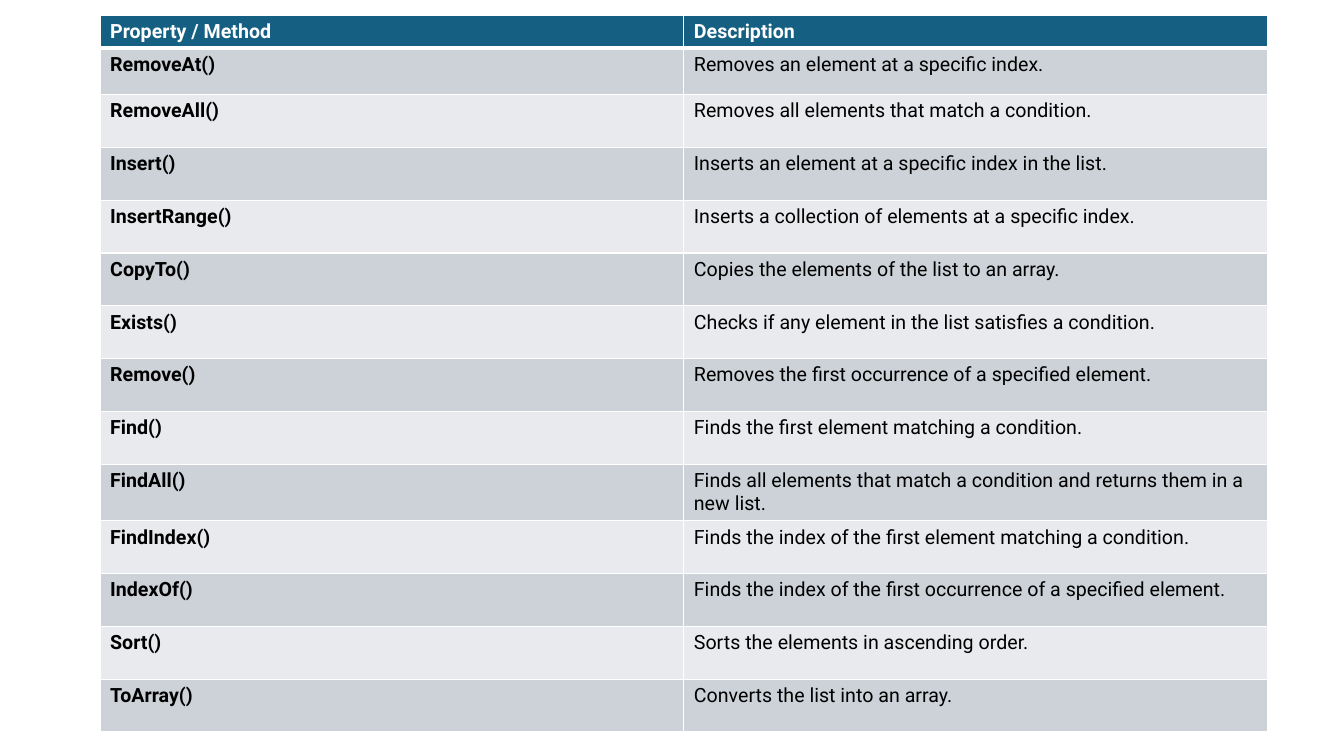
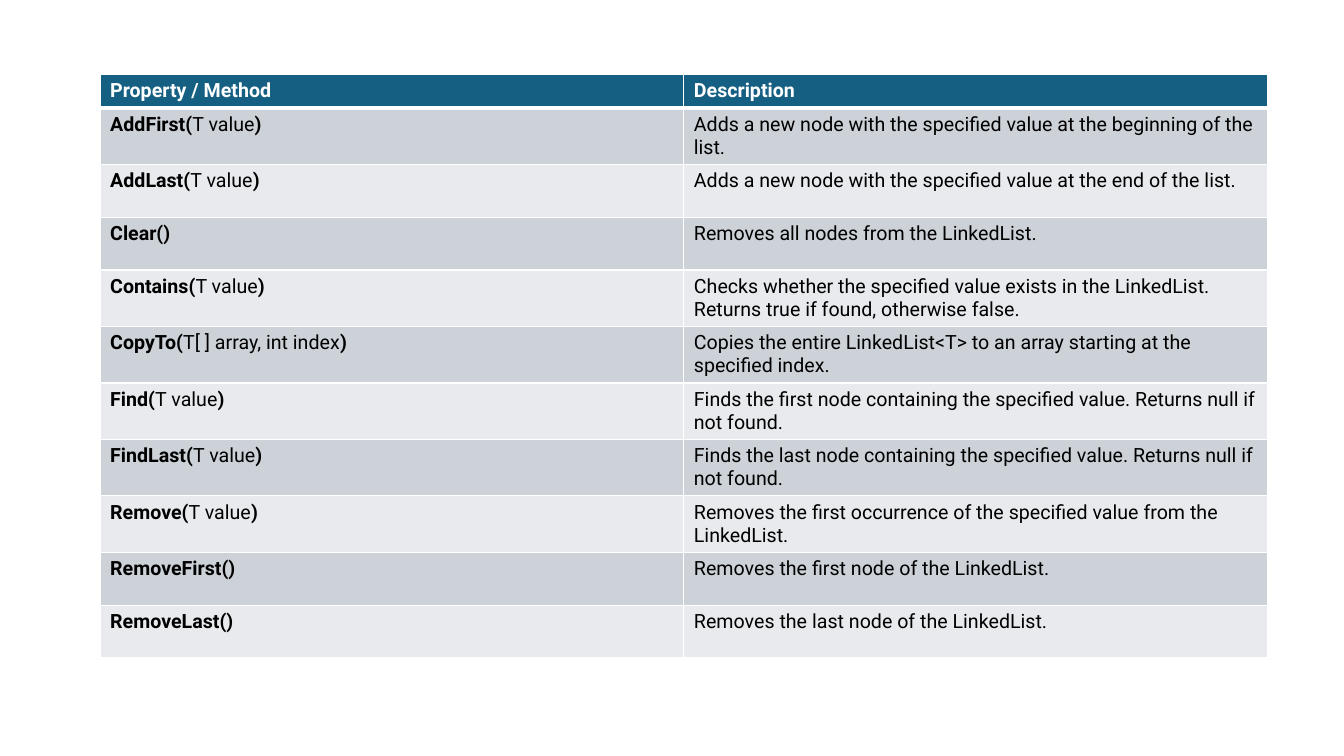
from lxml import etree
from pptx import Presentation
from pptx.dml.color import RGBColor
from pptx.oxml import ns
from pptx.util import Pt

WHITE = RGBColor(0xFF, 0xFF, 0xFF)
BLACK = RGBColor(0x00, 0x00, 0x00)
HEADER_BLUE = RGBColor(0x15, 0x60, 0x82)
BAND_DARK = RGBColor(0xCC, 0xD2, 0xD8)
BAND_LIGHT = RGBColor(0xE8, 0xEA, 0xED)

# Content: method signature and what it does
LIST_METHODS = [
    ("RemoveAt()", "Removes an element at a specific index."),
    ("RemoveAll()", "Removes all elements that match a condition."),
    ("Insert()", "Inserts an element at a specific index in the list."),
    ("InsertRange()", "Inserts a collection of elements at a specific index."),
    ("CopyTo()", "Copies the elements of the list to an array."),
    ("Exists()", "Checks if any element in the list satisfies a condition."),
    ("Remove()", "Removes the first occurrence of a specified element."),
    ("Find()", "Finds the first element matching a condition."),
    ("FindAll()", "Finds all elements that match a condition and returns them in a new list."),
    ("FindIndex()", "Finds the index of the first element matching a condition."),
    ("IndexOf()", "Finds the index of the first occurrence of a specified element."),
    ("Sort()", "Sorts the elements in ascending order."),
    ("ToArray()", "Converts the list into an array."),
]
LINKED_LIST_METHODS = [
    ("AddFirst(T value)",
     "Adds a new node with the specified value at the beginning of the list."),
    ("AddLast(T value)", "Adds a new node with the specified value at the end of the list."),
    ("Clear()", "Removes all nodes from the LinkedList."),
    ("Contains(T value)",
     "Checks whether the specified value exists in the LinkedList. "
     "Returns true if found, otherwise false."),
    ("CopyTo(T[ ] array, int index)",
     "Copies the entire LinkedList<T> to an array starting at the specified index."),
    ("Find(T value)",
     "Finds the first node containing the specified value. Returns null if not found."),
    ("FindLast(T value)",
     "Finds the last node containing the specified value. Returns null if not found."),
    ("Remove(T value)",
     "Removes the first occurrence of the specified value from the LinkedList."),
    ("RemoveFirst()", "Removes the first node of the LinkedList."),
    ("RemoveLast()", "Removes the last node of the LinkedList."),
]


class Deck:
    """Holds the shared style and the current slide."""

    FONT, SIZE = "Roboto", Pt(14)
    LEFT, COLUMN = Pt(71.5), Pt(417)
    HEADER_ROW, FIRST_ROW, ROW = Pt(22.5), Pt(33), Pt(37.75)
    HEADINGS = ("Property / Method", "Description")
    THIN, THICK = Pt(1), Pt(3)

    def __init__(self):
        self.prs = Presentation()
        self.prs.slide_width, self.prs.slide_height = Pt(960), Pt(540)
        self.slide = None

    def new_slide(self):
        self.slide = self.prs.slides.add_slide(self.prs.slide_layouts[6])

    def borders(self, cell, top, bottom):
        """White rules on all four sides, placed ahead of the cell fill."""
        props = cell._tc.get_or_add_tcPr()
        widths = {"L": self.THIN, "R": self.THIN, "T": top, "B": bottom}
        for place, (side, width) in enumerate(widths.items()):
            line = etree.Element(ns.qn(f"a:ln{side}"), w=str(width))
            solid = etree.SubElement(line, ns.qn("a:solidFill"))
            etree.SubElement(solid, ns.qn("a:srgbClr"), val=str(WHITE))
            props.insert(place, line)

    def cell(self, cell, pieces, fill, color, top, bottom):
        """Fill one cell with (text, bold) pieces."""
        cell.fill.solid()
        cell.fill.fore_color.rgb = fill
        self.borders(cell, top, bottom)
        paragraph = cell.text_frame.paragraphs[0]
        for words, bold in pieces:
            run = paragraph.add_run()
            run.text = words
            run.font.name, run.font.size = self.FONT, self.SIZE
            run.font.bold = bold
            run.font.color.rgb = color

    @staticmethod
    def signature(method):
        """Bold name and brackets, regular parameters."""
        name, _, rest = method.partition("(")
        parameters = rest[:-1]
        if not parameters:
            return [(method, True)]
        return [(name + "(", True), (parameters, False), (")", True)]

    def method_table(self, top, methods):
        heights = [self.HEADER_ROW, self.FIRST_ROW] + [self.ROW] * (len(methods) - 1)
        table = self.slide.shapes.add_table(
            len(heights), 2, self.LEFT, top, 2 * self.COLUMN, sum(heights)).table
        table.horz_banding = False
        for column in table.columns:
            column.width = self.COLUMN
        for row, height in zip(table.rows, heights):
            row.height = height

        # Heading row
        for column, heading in enumerate(self.HEADINGS):
            self.cell(table.cell(0, column), [(heading, True)],
                      HEADER_BLUE, WHITE, self.THIN, self.THICK)

        # Banded method rows
        for row, (method, description) in enumerate(methods, 1):
            band = BAND_DARK if row % 2 else BAND_LIGHT
            rule = self.THICK if row == 1 else self.THIN
            for column, pieces in enumerate((self.signature(method), [(description, False)])):
                self.cell(table.cell(row, column), pieces, band, BLACK, rule, self.THIN)


def main():
    deck = Deck()

    # List methods
    deck.new_slide()
    deck.method_table(Pt(10.75), LIST_METHODS)

    # LinkedList methods
    deck.new_slide()
    deck.method_table(Pt(53.25), LINKED_LIST_METHODS)

    deck.prs.save("out.pptx")


if __name__ == "__main__":
    main()
